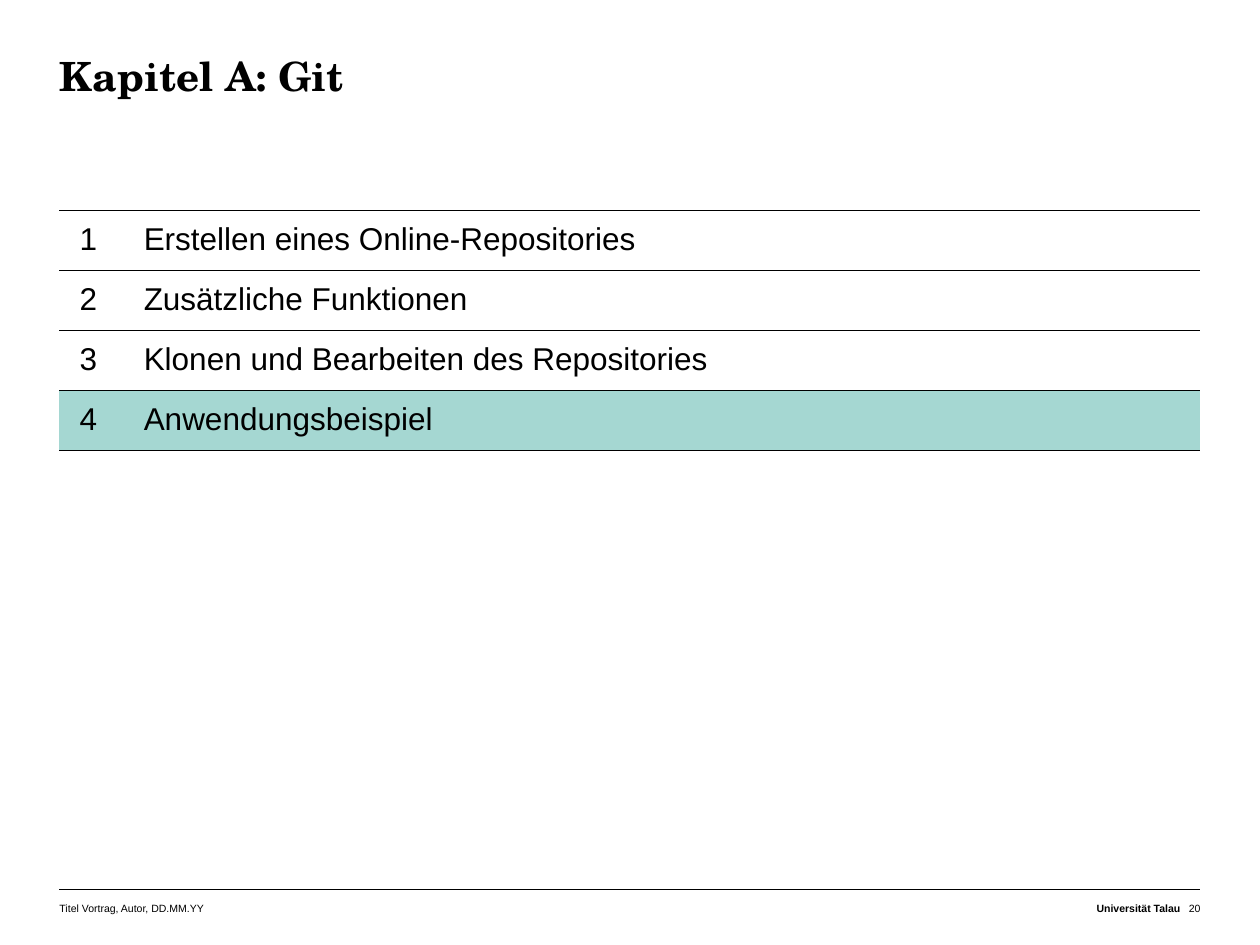
import dataclasses

import lxml.etree
import pptx
import pptx.dml.color
import pptx.enum.shapes
import pptx.enum.text
import pptx.oxml.ns
import pptx.util

Pt = pptx.util.Pt
RGB = pptx.dml.color.RGBColor
PP_ALIGN = pptx.enum.text.PP_ALIGN
qn = pptx.oxml.ns.qn


@dataclasses.dataclass(frozen=True)
class Theme:
    ink: str = "000000"
    highlight: str = "A5D7D2"
    title_font: str = "TeX Gyre Schola"
    body_font: str = "Arial"
    title_size: float = 23
    title_leading: float = 25
    body_size: float = 18
    footer_size: float = 6
    rule_width: float = 0.25
    border_width: float = 0.5


@dataclasses.dataclass(frozen=True)
class FooterItem:
    text: str
    left: float
    width: float
    align: PP_ALIGN = PP_ALIGN.LEFT
    bold: bool = False


THEME = Theme()
LEFT, WIDTH = 34, 652
RIGHT = LEFT + WIDTH
NUMBER_WIDTH = 36.7
TABLE_TOP, ROW_HEIGHT = 120, 34.3
RULE_Y, FOOTER_TOP, FOOTER_HEIGHT = 508.25, 514, 14.4
PAGE_WIDTH, SENDER_WIDTH = 11.5, 150.5
PLAIN_TABLE_STYLE = "{2D5ABB26-0587-4C30-8999-92F81FD0307C}"

TITLE = "Kapitel A: Git"
SECTIONS = [
    "Erstellen eines Online-Repositories",
    "Zusätzliche Funktionen",
    "Klonen und Bearbeiten des Repositories",
    "Anwendungsbeispiel",
]
CURRENT_SECTION = 4
FOOTER = [
    FooterItem("Titel Vortrag, Autor, DD.MM.YY", LEFT, 170),
    FooterItem("Universität Talau", RIGHT - PAGE_WIDTH - SENDER_WIDTH, SENDER_WIDTH,
               PP_ALIGN.RIGHT, True),
    FooterItem("20", RIGHT - PAGE_WIDTH, PAGE_WIDTH, PP_ALIGN.RIGHT),
]


def set_attrs(obj, **values) -> None:
    for name, value in values.items():
        setattr(obj, name, value)


def write(tf, text: str, font: str, size: float, bold: bool = False,
          align: PP_ALIGN = PP_ALIGN.LEFT):
    p = tf.paragraphs[0]
    p.alignment = align
    r = p.add_run()
    r.text = text
    set_attrs(r.font, name=font, size=Pt(size), bold=bold)
    r.font.color.rgb = RGB.from_string(THEME.ink)
    return p


def set_frame(tf, top_inset: float = 0) -> None:
    set_attrs(tf, word_wrap=True, auto_size=pptx.enum.text.MSO_AUTO_SIZE.NONE,
              vertical_anchor=pptx.enum.text.MSO_ANCHOR.TOP, margin_left=0,
              margin_right=0, margin_top=Pt(top_inset), margin_bottom=0)


def add_title(slide) -> None:
    sp = slide.shapes.title
    set_attrs(sp, left=Pt(LEFT), top=Pt(32), width=Pt(WIDTH), height=Pt(60))
    set_frame(sp.text_frame)
    p = write(sp.text_frame, TITLE, THEME.title_font, THEME.title_size, True)
    p.line_spacing = Pt(THEME.title_leading)


def add_footer(slide) -> None:
    rule = slide.shapes.add_connector(
        pptx.enum.shapes.MSO_CONNECTOR.STRAIGHT,
        Pt(LEFT), Pt(RULE_Y), Pt(RIGHT), Pt(RULE_Y))
    rule.line.width = Pt(THEME.rule_width)
    rule.line.color.rgb = RGB.from_string(THEME.ink)
    lxml.etree.SubElement(rule._element.spPr, qn("a:effectLst"))
    for item in FOOTER:
        sp = slide.shapes.add_textbox(Pt(item.left), Pt(FOOTER_TOP),
                                      Pt(item.width), Pt(FOOTER_HEIGHT))
        set_frame(sp.text_frame, top_inset=1.4)
        write(sp.text_frame, item.text, THEME.body_font, THEME.footer_size,
              item.bold, item.align)


def add_horizontal_borders(cell) -> None:
    tc_pr = cell._tc.get_or_add_tcPr()
    for side in ("a:lnT", "a:lnB"):
        ln = lxml.etree.SubElement(tc_pr, qn(side), w=str(Pt(THEME.border_width)))
        fill = lxml.etree.SubElement(ln, qn("a:solidFill"))
        lxml.etree.SubElement(fill, qn("a:srgbClr"), val=THEME.ink)


def format_cell(cell, text: str, current: bool) -> None:
    set_attrs(cell, margin_left=Pt(11.5), margin_right=Pt(11.5),
              margin_top=Pt(6.8), margin_bottom=Pt(6.8))
    write(cell.text_frame, text, THEME.body_font, THEME.body_size)
    add_horizontal_borders(cell)
    if current:
        cell.fill.solid()
        cell.fill.fore_color.rgb = RGB.from_string(THEME.highlight)
    else:
        cell.fill.background()


def add_agenda(slide) -> None:
    table = slide.shapes.add_table(
        len(SECTIONS), 2, Pt(LEFT), Pt(TABLE_TOP), Pt(WIDTH),
        Pt(ROW_HEIGHT * len(SECTIONS))).table
    set_attrs(table, first_row=False, horz_banding=False)
    table._tbl.tblPr.find(qn("a:tableStyleId")).text = PLAIN_TABLE_STYLE
    for col, width in zip(table.columns, (NUMBER_WIDTH, WIDTH - NUMBER_WIDTH)):
        col.width = Pt(width)
    for number, (row, section) in enumerate(zip(table.rows, SECTIONS), start=1):
        row.height = Pt(ROW_HEIGHT)
        for cell, text in zip(row.cells, (str(number), section)):
            format_cell(cell, text, number == CURRENT_SECTION)


def main() -> None:
    prs = pptx.Presentation()
    set_attrs(prs, slide_width=Pt(720), slide_height=Pt(540))
    slide = prs.slides.add_slide(prs.slide_layouts.get_by_name("Title Only"))
    add_title(slide)
    add_footer(slide)
    add_agenda(slide)
    prs.save("out.pptx")


if __name__ == "__main__":
    main()
